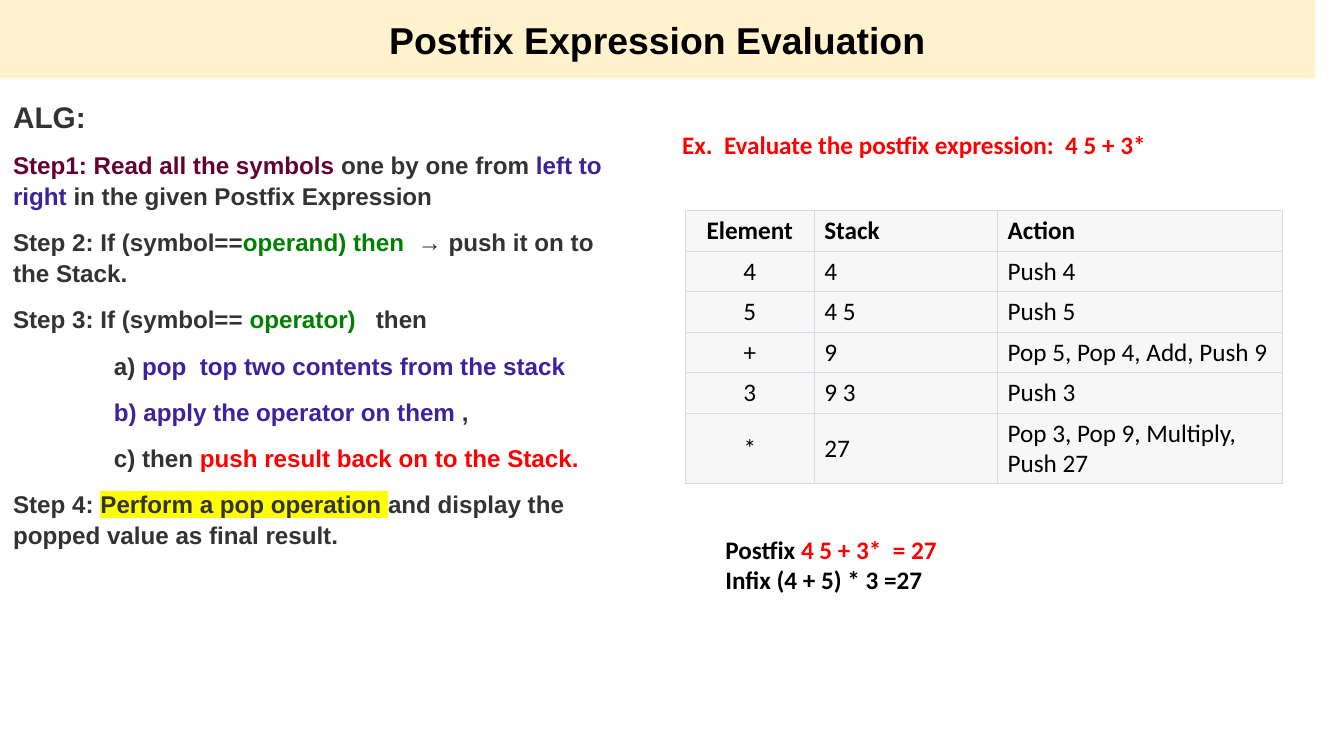
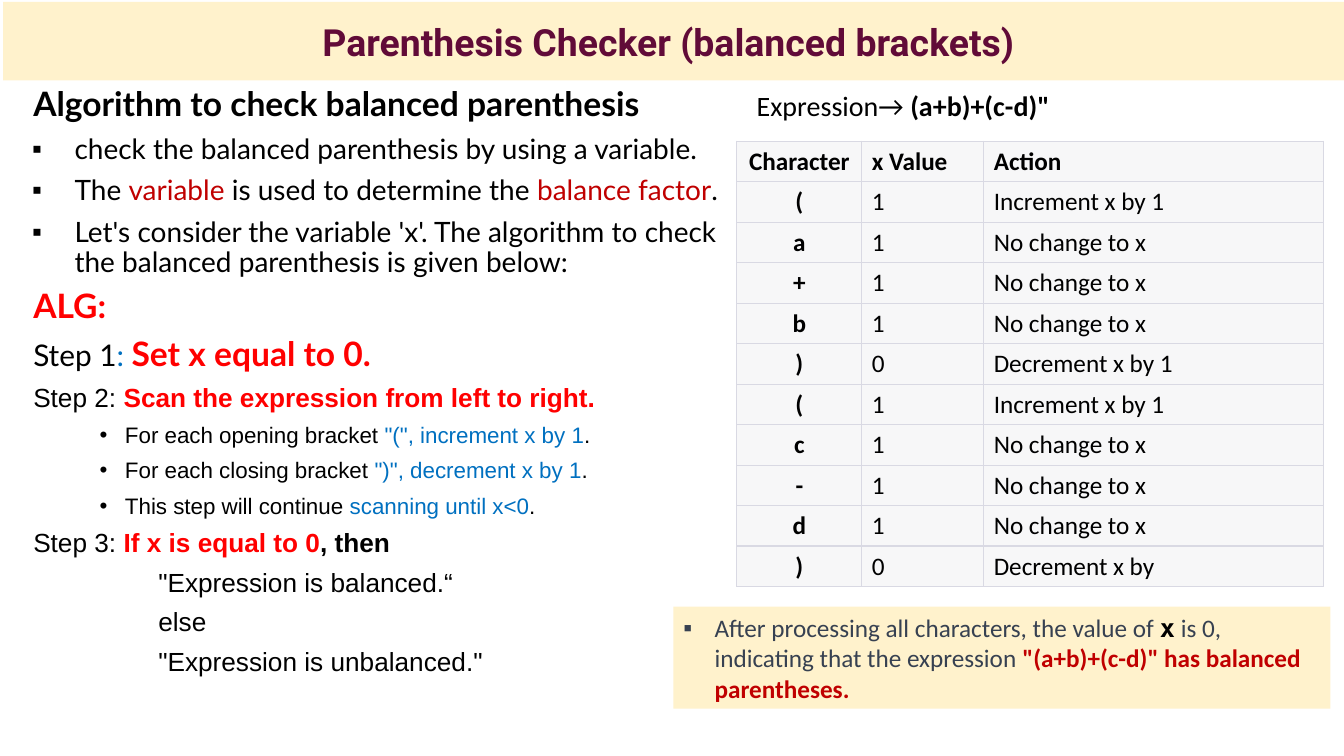
from dataclasses import dataclass

from lxml import etree
from pptx import Presentation
from pptx.dml.color import RGBColor
from pptx.enum.shapes import MSO_SHAPE
from pptx.enum.text import MSO_ANCHOR, PP_ALIGN
from pptx.oxml.ns import qn
from pptx.util import Cm, Pt

RECTANGLE = MSO_SHAPE.RECTANGLE
LEFT, CENTER = PP_ALIGN.LEFT, PP_ALIGN.CENTER
TOP, MIDDLE, BOTTOM = MSO_ANCHOR.TOP, MSO_ANCHOR.MIDDLE, MSO_ANCHOR.BOTTOM

COLORS = {
    "black": "000000",
    "charcoal": "333333",
    "slate": "374151",
    "cream": "FFF2CC",
    "cell": "F7F7F8",
    "border": "D9D9E3",
    "red": "FF0000",
    "crimson": "C00000",
    "plum": "660033",
    "wine": "610B38",
    "violet": "3D229E",
    "green": "008000",
    "blue": "0070C0",
    "yellow": "FFFF00",
}
NARROW_INSETS = (0.25, 0.13)
WIDE_INSETS = (0.33, 0.18)
ROW_HEIGHT = 1.02


@dataclass(frozen=True)
class Box:
    left: float
    top: float
    width: float
    height: float

    def lengths(self) -> tuple:
        return Cm(self.left), Cm(self.top), Cm(self.width), Cm(self.height)


@dataclass(frozen=True)
class Span:
    text: str
    color: str = "black"
    bold: bool = False
    size: float | None = None
    font: str | None = None
    highlight: str | None = None


@dataclass(frozen=True)
class Style:
    size: float
    font: str = "Calibri"
    align: PP_ALIGN = LEFT
    spacing: float = 1.0
    after: float = 0
    indent: float = 0
    hanging: float = 0
    bullet: str | None = None


@dataclass(frozen=True)
class Line:
    style: Style
    spans: tuple[Span, ...]


@dataclass(frozen=True)
class TraceTable:
    left: float
    top: float
    widths: tuple[float, ...]
    rows: tuple[tuple[str, ...], ...]
    bold_first_column: bool = False


def color_of(name: str) -> RGBColor:
    return RGBColor.from_string(COLORS[name])


def line(style: Style, *spans: Span) -> Line:
    return Line(style, spans)


def strong(text: str, color: str = "charcoal", **options) -> Span:
    return Span(text, color, True, **options)


def add_color(parent, tag: str, color: str):
    element = etree.SubElement(parent, qn(tag))
    etree.SubElement(element, qn("a:srgbClr"), val=COLORS[color])
    return element


def write_span(paragraph, span: Span, style: Style) -> None:
    run = paragraph.add_run()
    run.text = span.text
    run.font.size = Pt(span.size or style.size)
    run.font.bold = span.bold
    run.font.name = span.font or style.font
    run.font.color.rgb = color_of(span.color)
    if span.highlight:
        properties = run.font._element
        highlight = add_color(properties, "a:highlight", span.highlight)
        properties.find(qn("a:solidFill")).addnext(highlight)


def write_line(paragraph, content: Line) -> None:
    style = content.style
    paragraph.alignment = style.align
    paragraph.line_spacing = style.spacing
    paragraph.space_after = Pt(style.after)
    properties = paragraph._p.get_or_add_pPr()
    properties.set("marL", str(Cm(style.indent)))
    properties.set("indent", str(-Cm(style.hanging)))
    if style.bullet:
        etree.SubElement(properties, qn("a:buFont"), typeface="Arial")
        etree.SubElement(properties, qn("a:buChar"), char=style.bullet)
    for span in content.spans:
        write_span(paragraph, span, style)


def write_lines(shape, lines: tuple[Line, ...], insets: tuple, anchor: MSO_ANCHOR) -> None:
    frame = shape.text_frame
    frame.word_wrap = True
    frame.vertical_anchor = anchor
    frame.margin_left = frame.margin_right = Cm(insets[0])
    frame.margin_top = frame.margin_bottom = Cm(insets[1])
    for index, content in enumerate(lines):
        paragraph = frame.add_paragraph() if index else frame.paragraphs[0]
        write_line(paragraph, content)


def add_text(slide, box: Box, *lines: Line, insets: tuple = NARROW_INSETS) -> None:
    write_lines(slide.shapes.add_textbox(*box.lengths()), lines, insets, TOP)


def add_panel(slide, box: Box, *lines: Line, insets: tuple = NARROW_INSETS) -> None:
    shape = slide.shapes.add_shape(RECTANGLE, *box.lengths())
    shape.shadow.inherit = False
    shape.fill.solid()
    shape.fill.fore_color.rgb = color_of("cream")
    shape.line.fill.background()
    write_lines(shape, lines, insets, MIDDLE)


def add_title(slide, box: Box, text: str, color: str, font: str) -> None:
    style = Style(26.7, font, CENTER)
    add_panel(slide, box, line(style, strong(text, color)), insets=WIDE_INSETS)


def set_borders(cell) -> None:
    properties = cell._tc.get_or_add_tcPr()
    for index, (side, width) in enumerate((("L", 0.75), ("R", 0.75), ("T", 1), ("B", 1))):
        border = etree.Element(qn(f"a:ln{side}"), w=str(Pt(width)))
        add_color(border, "a:solidFill", "border")
        properties.insert(index, border)


def add_trace_table(slide, trace: TraceTable) -> None:
    box = Box(trace.left, trace.top, sum(trace.widths), ROW_HEIGHT * len(trace.rows))
    table = slide.shapes.add_table(len(trace.rows), len(trace.widths), *box.lengths()).table
    table.first_row = table.horz_banding = False
    for column, width in zip(table.columns, trace.widths):
        column.width = Cm(width)
    for row_index, row in enumerate(trace.rows):
        for column_index, text in enumerate(row):
            cell = table.cell(row_index, column_index)
            cell.fill.solid()
            cell.fill.fore_color.rgb = color_of("cell")
            cell.vertical_anchor = MIDDLE if row_index else BOTTOM
            set_borders(cell)
            first = column_index == 0
            bold = row_index == 0 or (first and trace.bold_first_column)
            style = Style(18, align=CENTER if first else LEFT)
            write_line(cell.text_frame.paragraphs[0], line(style, Span(text, bold=bold)))


def build_postfix_slide(slide) -> None:
    heading = Style(21.3, "Arial", after=10)
    step = Style(17.3, "Arial", spacing=1.07, after=10.7)
    substep = Style(17.3, "Arial", spacing=1.07, after=10.7, indent=2.54)
    note = Style(18)
    add_text(
        slide, Box(0, 2.31, 16.1, 15.88),
        line(heading, strong("ALG:")),
        line(step, strong("Step1: Read all the symbols", "plum"), strong(" one by one from "),
             strong("left to right ", "violet"), strong("in the given Postfix Expression")),
        line(step, strong("Step 2: If (symbol=="), strong("operand) then  ", "green"),
             strong("→ push it on to the Stack.")),
        line(step, strong("Step 3: If (symbol== "), strong("operator)  ", "green"),
             strong(" then")),
        line(substep, strong("a) "), strong("pop  top two contents from the stack", "violet")),
        line(substep, strong("b) apply the operator on them ", "violet"), strong(",")),
        line(substep, strong("c) then "), strong("push result back on to the Stack.", "red")),
        line(step, strong("Step 4: "), strong("Perform a pop operation ", highlight="yellow"),
             strong("and display the popped value as final result.")),
        insets=WIDE_INSETS,
    )
    add_title(slide, Box(0, 0, 33.15, 1.98), "Postfix Expression Evaluation", "black", "Arial")
    add_trace_table(slide, TraceTable(17.27, 5.31, (3.25, 4.62, 7.19), (
        ("Element", "Stack", "Action"),
        ("4", "4", "Push 4"),
        ("5", "4 5", "Push 5"),
        ("+", "9", "Pop 5, Pop 4, Add, Push 9"),
        ("3", "9 3", "Push 3"),
        ("*", "27", "Pop 3, Pop 9, Multiply, Push 27"),
    )))
    add_text(slide, Box(16.94, 3.12, 16.5, 1.02),
             line(note, strong("Ex.  Evaluate the postfix expression:  4 5 + 3*", "red")))
    add_text(slide, Box(18.03, 13.34, 15.8, 1.8),
             line(note, strong("Postfix ", "black"), strong("4 5 + 3*  = 27", "red")),
             line(note, strong("Infix (4 + 5) * 3 =27", "black")))


def build_parenthesis_slide(slide) -> None:
    heading = Style(24, "Lato", spacing=0.9, after=8, indent=0.43)
    point = Style(20, "Lato", spacing=0.9, after=8, indent=1.47, hanging=1.07, bullet="▪")
    step = Style(18.7, "Arial", spacing=0.9, after=8, indent=0.43)
    substep = Style(16, "Arial", spacing=0.9, after=8, indent=2.74, hanging=0.64, bullet="•")
    outcome = Style(18.7, "Arial", spacing=0.9, after=8, indent=3.58)
    conclusion = Style(18, indent=0.79, hanging=0.79, bullet="▪")
    add_text(
        slide, Box(0.08, 2.03, 18.75, 16.66),
        line(heading, strong("Algorithm to check balanced parenthesis", "black")),
        line(point, Span("check the balanced parenthesis by using a variable.")),
        line(point, Span("The "), Span("variable", "crimson"),
             Span(" is used to determine the "), Span("balance factor", "crimson"), Span(".")),
        line(point, Span("Let's consider the variable 'x'. The algorithm to check "
                         "the balanced parenthesis is given below:")),
        line(heading, strong("ALG:", "red")),
        line(heading, Span("Step 1", size=21.3), Span(": ", "blue", size=21.3),
             strong("Set x equal to 0.", "red")),
        line(step, Span("Step 2: "), strong("Scan the expression from left to right.", "red")),
        *(line(substep, Span(lead), Span(rule, "blue"), Span(".")) for lead, rule in (
            ("For each opening bracket ", '"(", increment x by 1'),
            ("For each closing bracket ", '")", decrement x by 1'),
            ("This step will continue ", "scanning until x<0"),
        )),
        line(step, Span("Step 3: "), strong("If x is equal to 0", "red"),
             strong(", then", "black")),
        *(line(outcome, Span(text)) for text in (
            '"Expression is balanced.“', "else", '"Expression is unbalanced."',
        )),
        insets=WIDE_INSETS,
    )
    add_title(slide, Box(0.08, 0.05, 33.79, 1.98),
              "Parenthesis Checker (balanced brackets) ", "wine", "Roboto")
    add_trace_table(slide, TraceTable(18.57, 3.56, (3.15, 3.07, 8.56), (
        ("Character", "x Value", "Action"),
        ("(", "1", "Increment x by 1"),
        ("a", "1", "No change to x"),
        ("+", "1", "No change to x"),
        ("b", "1", "No change to x"),
        (")", "0", "Decrement x by 1"),
        ("(", "1", "Increment x by 1"),
        ("c", "1", "No change to x"),
        ("-", "1", "No change to x"),
        ("d", "1", "No change to x"),
        (")", "0", "Decrement x by"),
    ), bold_first_column=True))
    add_panel(slide, Box(16.97, 15.29, 16.56, 2.57), line(
        conclusion,
        Span("After processing all characters, the value of ", "slate"),
        strong("x", "black", font="DejaVu Sans Mono"),
        Span(" is 0, indicating that the expression ", "slate"),
        strong('"(a+b)+(c-d)" has balanced parentheses.', "crimson"),
    ))
    add_text(slide, Box(18.82, 2.11, 14.78, 1.12),
             line(Style(20), Span("Expression→ "), strong('(a+b)+(c-d)"', "black")))


def main() -> None:
    presentation = Presentation()
    presentation.slide_width = Cm(33.87)
    presentation.slide_height = Cm(19.05)
    blank_layout = presentation.slide_layouts[6]
    for build in (build_postfix_slide, build_parenthesis_slide):
        build(presentation.slides.add_slide(blank_layout))
    presentation.save("out.pptx")


if __name__ == "__main__":
    main()
